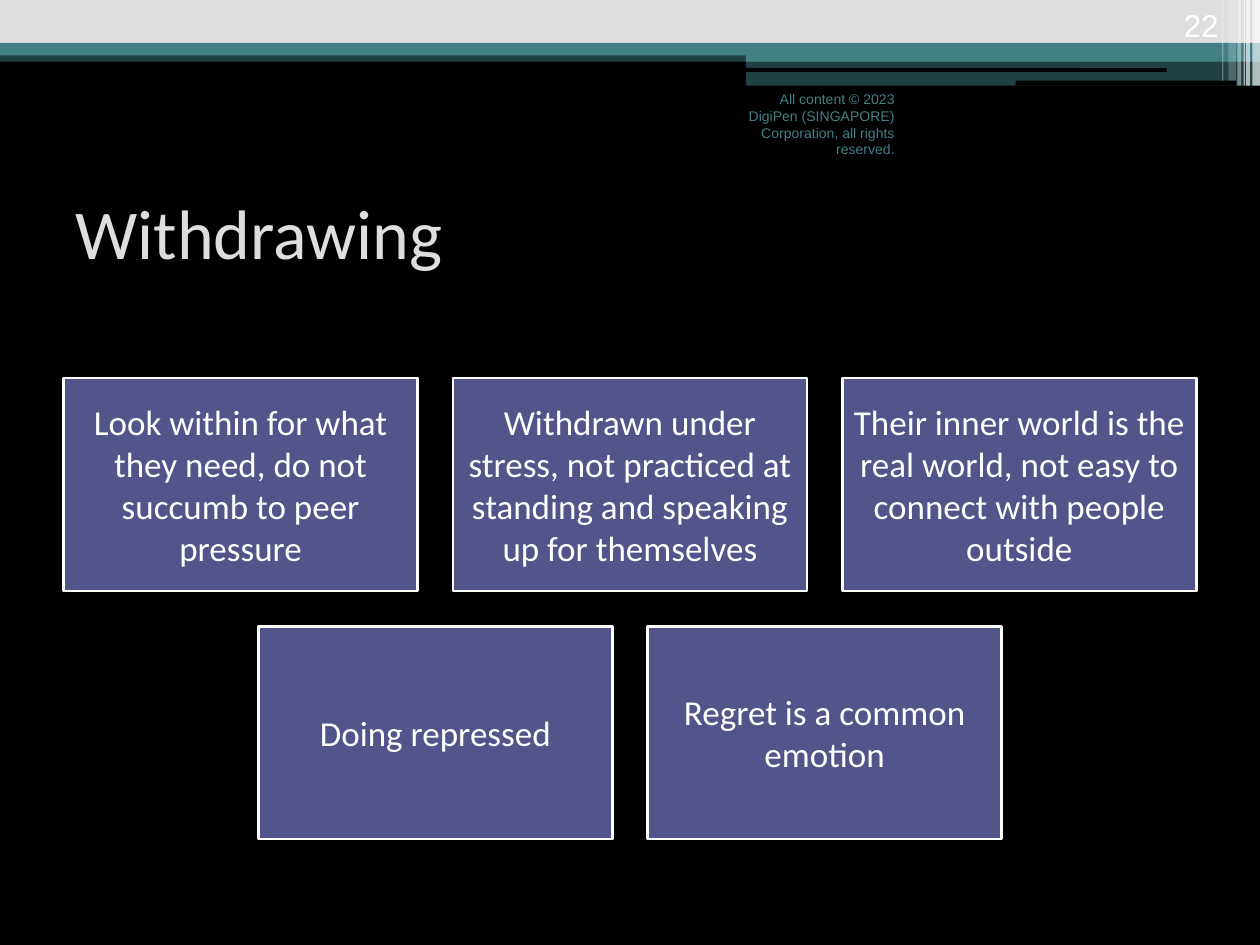
"""Build the "Withdrawing" slide: a banded header, a title and five trait cards."""
from lxml import etree
from pptx import Presentation
from pptx.dml.color import RGBColor
from pptx.enum.shapes import MSO_SHAPE
from pptx.enum.text import MSO_ANCHOR, PP_ALIGN
from pptx.oxml.ns import qn
from pptx.util import Inches, Pt

RECT, ROUNDED = MSO_SHAPE.RECTANGLE, MSO_SHAPE.ROUNDED_RECTANGLE
LEFT, CENTER, RIGHT = PP_ALIGN.LEFT, PP_ALIGN.CENTER, PP_ALIGN.RIGHT
TOP, MIDDLE, BOTTOM = MSO_ANCHOR.TOP, MSO_ANCHOR.MIDDLE, MSO_ANCHOR.BOTTOM
COLORS = {"black": "000000", "white": "FFFFFF", "gray": "DEDEDE",
          "teal": "438086", "violet": "53548A"}


def add_block(kind, left, top, width, height, color, opacity=100):
    block = slide.shapes.add_shape(
        kind, Inches(left), Inches(top), Inches(width), Inches(height))
    block.shadow.inherit = False
    block.fill.solid()
    block.fill.fore_color.rgb = RGBColor.from_string(COLORS[color])
    block.line.fill.background()
    if opacity < 100:
        tint = block.fill._xPr.find(".//" + qn("a:srgbClr"))
        etree.SubElement(tint, qn("a:alpha"), val=str(opacity * 1000))
    return block


def write(holder, text, size, font, color, align, anchor):
    frame = holder.text_frame
    frame.word_wrap = True
    frame.vertical_anchor = anchor
    paragraph = frame.paragraphs[0]
    paragraph.text = text
    paragraph.alignment = align
    paragraph.font.size = Pt(size)
    paragraph.font.name = font
    paragraph.font.color.rgb = RGBColor.from_string(COLORS[color])


prs = Presentation()
prs.slide_width, prs.slide_height = Inches(10), Inches(7.5)
slide = prs.slides.add_slide(prs.slide_layouts[5])
slide.background.fill.solid()
slide.background.fill.fore_color.rgb = RGBColor.from_string(COLORS["black"])

header_bands = [
    (RECT, 0, 0.4, 10, 0.09, "teal", 50),
    (RECT, 0, 0, 10, 0.34, "gray", 100),
    (RECT, 0, 0.34, 10, 0.1, "teal", 100),
    (RECT, 5.92, 0.39, 4.08, 0.1, "teal", 100),
    (RECT, 5.92, 0.48, 4.08, 0.2, "teal", 50),
    (ROUNDED, 5.91, 0.54, 3.35, 0.03, "black", 100),
    (ROUNDED, 8.06, 0.64, 1.75, 0.04, "black", 100),
]
for band in header_bands:
    add_block(*band)

edge_stripes = [
    (9.94, 0.06, 0.68, 65), (9.89, 0.03, 0.68, 65), (9.87, 0.01, 0.68, 60),
    (9.82, 0.03, 0.68, 40), (9.75, 0.06, 0.64, 20), (9.7, 0.01, 0.64, 30),
]
for left, width, height, opacity in edge_stripes:
    add_block(RECT, left, 0, width, height, "white", opacity)

title = slide.shapes.title
title.left, title.top = Inches(0.5), Inches(1.25)
title.width, title.height = Inches(9), Inches(1.17)
write(title, "Withdrawing", 40, "Calibri", "gray", LEFT, MIDDLE)

card_rows = [
    ["Look within for what they need, do not succumb to peer pressure",
     "Withdrawn under stress, not practiced at standing and speaking up for themselves",
     "Their inner world is the real world, not easy to connect with people outside"],
    ["Doing repressed", "Regret is a common emotion"],
]
card_width, card_height, gap = 2.81, 1.69, 0.28
for row, traits in enumerate(card_rows):
    row_width = len(traits) * (card_width + gap) - gap
    for column, trait in enumerate(traits):
        card = add_block(
            RECT, (10 - row_width) / 2 + column * (card_width + gap),
            3 + row * (card_height + gap), card_width, card_height, "violet")
        card.line.color.rgb = RGBColor.from_string(COLORS["white"])
        card.line.width = Pt(1.5)
        frame = card.text_frame
        frame.margin_left = frame.margin_right = Inches(0.08)
        frame.margin_top = frame.margin_bottom = Inches(0.08)
        write(card, trait, 20, "Calibri", "white", CENTER, MIDDLE)

copyright_note = slide.shapes.add_textbox(
    Inches(5.75), Inches(0.67), Inches(1.45), Inches(0.5))
write(copyright_note,
      "All content © 2023 DigiPen (SINGAPORE) Corporation, all rights reserved.",
      8, "Arial", "teal", RIGHT, TOP)

page_number = slide.shapes.add_textbox(
    Inches(8.94), Inches(0), Inches(0.83), Inches(0.4))
write(page_number, "22", 18, "Arial", "white", RIGHT, BOTTOM)

prs.save("out.pptx")
